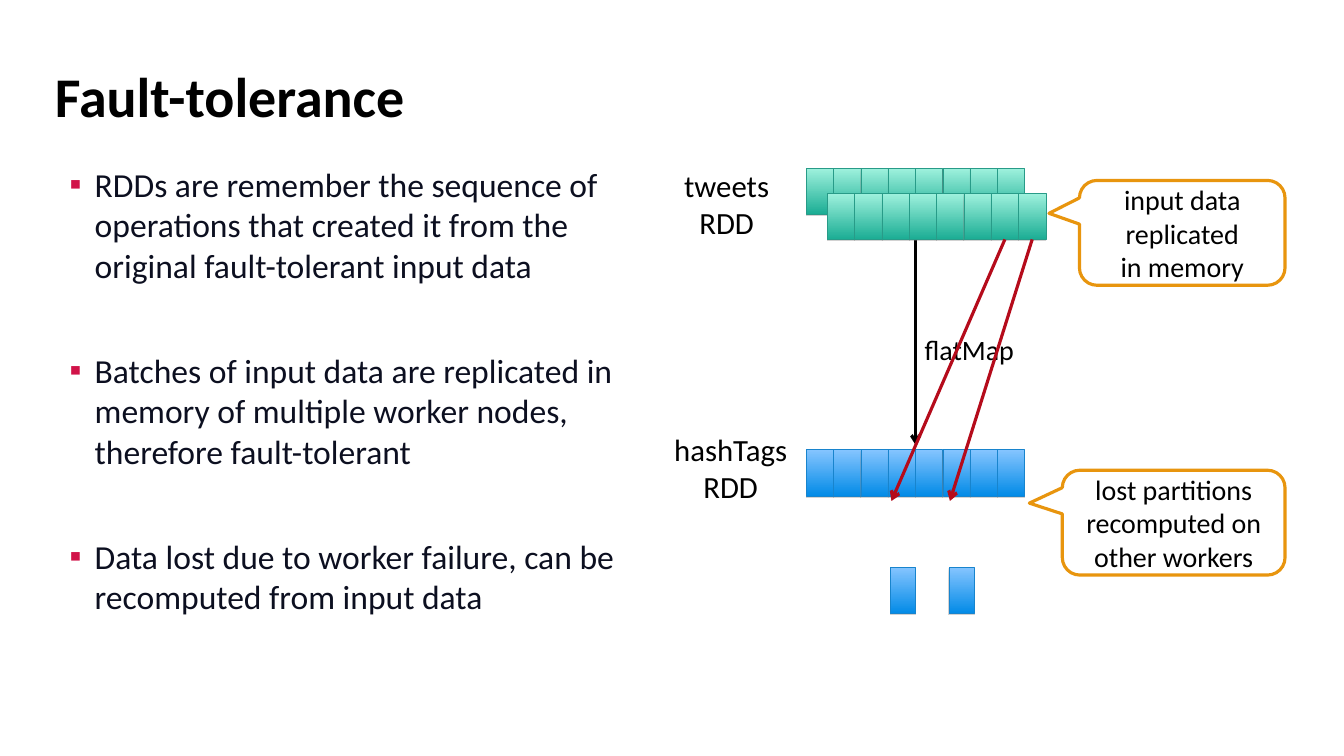
import pptx
import pptx.util
import pptx.dml.color
import pptx.enum.shapes
import pptx.enum.text
import pptx.oxml
import pptx.oxml.ns

Inches, Pt = pptx.util.Inches, pptx.util.Pt
SHAPE = pptx.enum.shapes.MSO_SHAPE
ALIGN = pptx.enum.text.PP_ALIGN
ANCHOR = pptx.enum.text.MSO_ANCHOR
AUTOSIZE = pptx.enum.text.MSO_AUTO_SIZE

TITLE = "Fault-tolerance"
BULLETS = [
    "RDDs are remember the sequence of operations that created it from the original fault-tolerant input data",
    "Batches of input data are replicated in memory of multiple worker nodes, therefore fault-tolerant",
    "Data lost due to worker failure, can be recomputed from input data",
]
# Lines of text, then left, top, width, height
INPUT_NOTE = (["input data replicated", "in memory"], (21.42, 3.58, 4.08, 2.08))
LOST_NOTE = (["lost partitions recomputed on other workers"], (21.08, 9.33, 4.42, 2.08))
FLATMAP = (["flatMap"], (17.25, 6.59, 3.97, 0.67))
RDD_LABELS = [
    (["tweets", "RDD"], (12.92, 3.25, 3, 1.58)),
    (["hashTags", "RDD"], (13, 8.5, 3, 1.58)),
]
PARTITIONS = 8
PARTITION_STEP, PARTITION_HEIGHT = 0.5417, 0.92
LOST_WIDTH, LOST_TOP, LOST_LEFTS = 0.5, 11.25, [17.67, 18.83]
RECOMPUTE_ENDS = [(17.69, 9.94), (18.85, 9.94)]

THEME = {
    "font": "Calibri",
    "title": 80, "body": 48, "label": 44, "note": 40,
    "black": "000000", "body_text": "0C0F20", "bullet": "D11349",
    "white": "FFFFFF", "note_line": "E8950E", "recompute": "B50B1B",
    "tweets": ("A0F2DE", "1BAD94", "289B88"),
    "hashtags": ("86C5FF", "038BE7", "1884CD"),
    "thick": 4.5, "thin": 0.75, "bullet_gap": 93,
}


def rgb(code):
    return pptx.dml.color.RGBColor.from_string(code)


def append_xml(parent, xml):
    """Append an element written with the a: prefix."""
    opening, rest = xml.split(" ", 1)
    namespace = pptx.oxml.ns.nsdecls("a")
    parent.append(pptx.oxml.parse_xml(f"{opening} {namespace} {rest}"))


def place(shape, area):
    shape.left, shape.top, shape.width, shape.height = map(Inches, area)


def set_margins(frame, side, end):
    frame.margin_left = frame.margin_right = Inches(side)
    frame.margin_top = frame.margin_bottom = Inches(end)


def write(frame, lines, size, color="black", align=ALIGN.CENTER, bold=False):
    frame.word_wrap = True
    for index, line in enumerate(lines):
        para = frame.paragraphs[0] if index == 0 else frame.add_paragraph()
        para.alignment = align
        span = para.add_run()
        span.text = line
        span.font.name = THEME["font"]
        span.font.size = Pt(THEME[size])
        span.font.bold = bold
        span.font.color.rgb = rgb(THEME[color])


def add_label(page, lines, area, size, margins=(0.1, 0.05)):
    box = page.shapes.add_textbox(*map(Inches, area))
    set_margins(box.text_frame, *margins)
    write(box.text_frame, lines, size)


def add_note(page, lines, area):
    note = page.shapes.add_shape(SHAPE.ROUNDED_RECTANGULAR_CALLOUT, *map(Inches, area))
    for index, value in enumerate((-0.648, -0.186, 0.167)):
        note.adjustments[index] = value
    note.shadow.inherit = False
    note.fill.solid()
    note.fill.fore_color.rgb = rgb(THEME["white"])
    note.line.color.rgb = rgb(THEME["note_line"])
    note.line.width = Pt(THEME["thick"])
    note.text_frame.vertical_anchor = ANCHOR.MIDDLE
    set_margins(note.text_frame, 0, 0.05)
    write(note.text_frame, lines, "note")


def add_partitions(page, lefts, top, width, palette):
    """Add one grouped row of partitions and return them."""
    light, dark, edge = THEME[palette]
    group = page.shapes.add_group_shape()
    partitions = []
    for left in lefts:
        partition = group.shapes.add_shape(
            SHAPE.RECTANGLE, *map(Inches, (left, top, width, PARTITION_HEIGHT)))
        partition.fill.gradient()
        partition.fill.gradient_angle = 270
        for stop, color, position in zip(partition.fill.gradient_stops, (light, dark), (0, 1)):
            stop.color.rgb = rgb(color)
            stop.position = position
        partition.line.color.rgb = rgb(edge)
        partition.line.width = Pt(THEME["thin"])
        partition.shadow.inherit = False
        effects = partition.element.spPr.find(pptx.oxml.ns.qn("a:effectLst"))
        append_xml(effects, '<a:outerShdw blurRad="0" dist="22860" dir="5400000" rotWithShape="0">'
                            '<a:srgbClr val="808080"><a:alpha val="35000"/></a:srgbClr></a:outerShdw>')
        partitions.append(partition)
    return partitions


def add_row(page, left, top, palette):
    lefts = [left + index * PARTITION_STEP for index in range(PARTITIONS)]
    return add_partitions(page, lefts, top, PARTITION_STEP, palette)


def add_arrow(page, start, end, color):
    arrow = page.shapes.add_connector(
        pptx.enum.shapes.MSO_CONNECTOR.STRAIGHT, *map(Inches, (*start, *end)))
    arrow.line.color.rgb = rgb(THEME[color])
    arrow.line.width = Pt(THEME["thick"])
    append_xml(arrow.line._get_or_add_ln(), '<a:tailEnd type="arrow"/>')
    append_xml(arrow.element.spPr, "<a:effectLst />")
    return arrow


def add_title(page):
    title = page.shapes.title
    place(title, (1.03, 1.01, 24.49, 1.74))
    title.text_frame.auto_size = AUTOSIZE.NONE
    title.text_frame.vertical_anchor = ANCHOR.MIDDLE
    set_margins(title.text_frame, 0.06, 0.06)
    write(title.text_frame, [TITLE], "title", align=ALIGN.LEFT, bold=True)


def add_bullets(page):
    body = page.placeholders[1]
    place(body, (1.03, 3.25, 11.64, 9.67))
    frame = body.text_frame
    frame.auto_size = AUTOSIZE.NONE
    set_margins(frame, 0, 0)
    write(frame, BULLETS, "body", "body_text", ALIGN.LEFT)
    for index, para in enumerate(frame.paragraphs):
        para.space_before = Pt(THEME["bullet_gap"] if index else 0)
        properties = para._p.get_or_add_pPr()
        properties.set("marL", str(Inches(0.85)))
        properties.set("indent", str(Inches(-0.5)))
        append_xml(properties, f'<a:buClr ><a:srgbClr val="{THEME["bullet"]}"/></a:buClr>')
        append_xml(properties, f'<a:buFont typeface="{THEME["font"]}"/>')
        append_xml(properties, '<a:buChar char="▪"/>')


def main():
    deck = pptx.Presentation()
    deck.slide_width, deck.slide_height = Inches(26.67), Inches(15)
    page = deck.slides.add_slide(deck.slide_layouts[1])
    add_title(page)
    add_bullets(page)

    add_note(page, *INPUT_NOTE)
    add_label(page, *FLATMAP, "note", (0.1, 0))
    add_arrow(page, (18.17, 4.47), (18.17, 8.83), "black")
    add_row(page, 16, 3.33, "tweets")
    add_partitions(page, LOST_LEFTS, LOST_TOP, LOST_WIDTH, "hashtags")
    replicas = add_row(page, 16.42, 3.83, "tweets")
    add_row(page, 16, 8.92, "hashtags")
    for partition, end in zip(replicas[-2:], RECOMPUTE_ENDS):
        arrow = add_arrow(page, (20, 4.75), end, "recompute")
        arrow.begin_connect(partition, 2)
    add_note(page, *LOST_NOTE)
    for lines, area in RDD_LABELS:
        add_label(page, lines, area, "label")
    deck.save("out.pptx")


if __name__ == "__main__":
    main()
